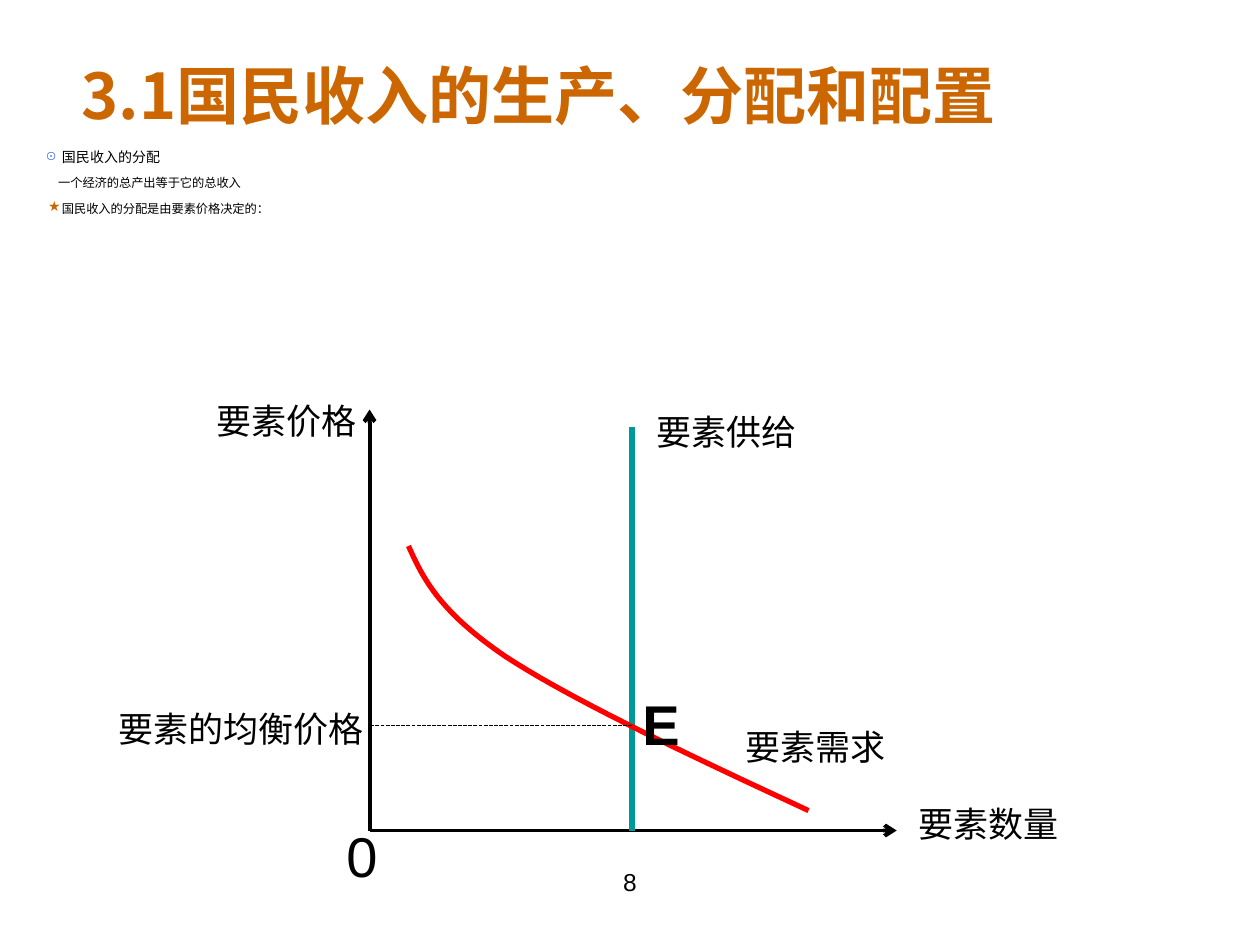
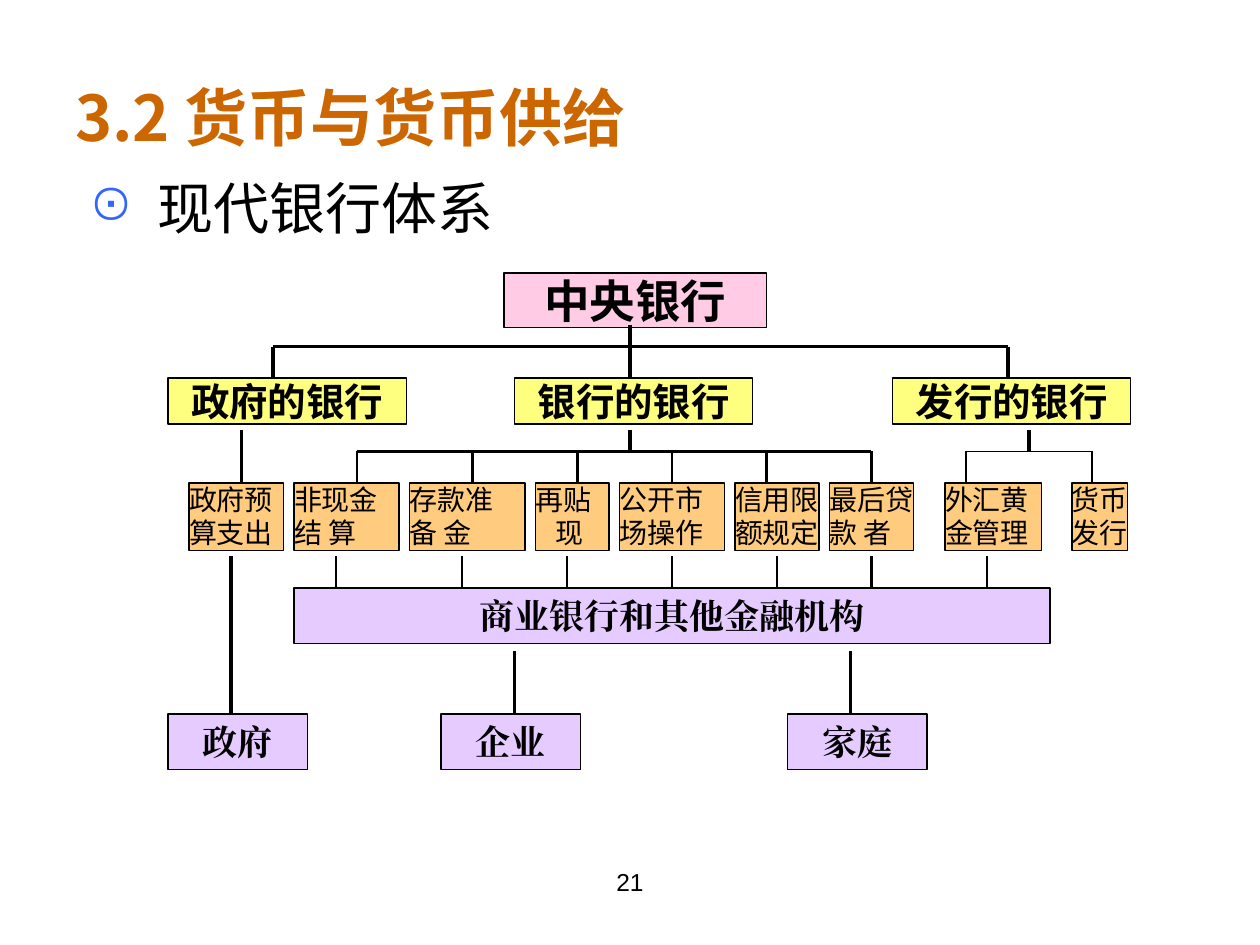
from dataclasses import dataclass

from lxml import etree
from pptx import Presentation
from pptx import util as u
from pptx.dml.color import RGBColor
from pptx.enum import dml, shapes, text
from pptx.oxml.ns import qn

# The grid has 12 columns and 12 rows to the inch: 120 x 90 on the slide.
CELL = 914400 // 12
COLS, ROWS = 120, 90

BLACK, ORANGE, BLUE = "000000", "CC6600", "3366FF"
TEAL, RED = "009999", "FF0000"
PINK, YELLOW, AMBER, LILAC = "FF99CC", "FFFF00", "FF9900", "CC99FF"
SANS, SERIF, CJK = "Arial", "Times New Roman", "Noto Sans CJK SC"
LEFT, CENTER = text.PP_ALIGN.LEFT, text.PP_ALIGN.CENTER
TOP, MIDDLE = text.MSO_ANCHOR.TOP, text.MSO_ANCHOR.MIDDLE


@dataclass(frozen=True)
class Area:
    """A rectangle in grid cells."""
    x: float
    y: float
    w: float
    h: float

    def emu(self) -> list[int]:
        return [grid(v) for v in (self.x, self.y, self.w, self.h)]


@dataclass(frozen=True)
class Style:
    size: float
    font: str = SANS
    bold: bool = False
    color: str = BLACK
    align: int = LEFT


@dataclass(frozen=True)
class Point:
    """A body paragraph; margin and hang are in inches."""
    words: str
    style: Style
    margin: float
    hang: float = 0
    bullet: str = ""
    bullet_color: str = BLACK
    bullet_pct: int = 100
    leading: float = 7
    before: float = 0


@dataclass(frozen=True)
class Box:
    area: Area
    lines: tuple[str, ...]
    fill: str
    style: Style
    border: float = 0.75
    second_indent: float = 0


TITLE = Style(36, CJK, True, ORANGE)
PAGE = Style(14, align=CENTER)
LABEL = Style(20)
CENTRAL = Style(26, bold=True, align=CENTER)
ROLE = Style(22, bold=True, align=CENTER)
CLIENT = Style(20, SERIF, True, align=CENTER)
TASK, TASK_CJK = Style(16), Style(16, CJK)


def grid(v: float) -> int:
    return round(v * CELL)


def rgb(value: str) -> RGBColor:
    return RGBColor.from_string(value)


def child(parent, tag: str, **attrs: str):
    return etree.SubElement(parent, qn(tag), attrs)


def put(obj, values: dict) -> None:
    for name, value in values.items():
        setattr(obj, name, value)


def frame(tf, anchor: int, wrap: bool, side: float, top: float) -> None:
    put(tf, dict(margin_left=u.Inches(side), margin_right=u.Inches(side),
                 margin_top=u.Inches(top), margin_bottom=u.Inches(top),
                 vertical_anchor=anchor, word_wrap=wrap,
                 auto_size=text.MSO_AUTO_SIZE.NONE))


def write(p, words: str, style: Style) -> None:
    p.alignment = style.align
    r = p.add_run()
    r.text = words
    put(r.font, dict(size=u.Pt(style.size), bold=style.bold, name=style.font))
    r.font.color.rgb = rgb(style.color)
    child(r._r.get_or_add_rPr(), "a:ea", typeface=style.font)


def add_text(s, area: Area, words: str, style: Style,
             anchor: int = MIDDLE, wrap: bool = True) -> None:
    tf = s.shapes.add_textbox(*area.emu()).text_frame
    frame(tf, anchor, wrap, 0.1, 0.05)
    write(tf.paragraphs[0], words, style)


def add_body(s, area: Area, points: list[Point]) -> None:
    tf = s.shapes.add_textbox(*area.emu()).text_frame
    frame(tf, TOP, True, 0.1, 0.05)
    for i, point in enumerate(points):
        p = tf.add_paragraph() if i else tf.paragraphs[0]
        pPr = p._p.get_or_add_pPr()
        pPr.set("marL", str(u.Inches(point.margin)))
        pPr.set("indent", str(u.Inches(-point.hang)))
        if point.bullet:
            child(child(pPr, "a:buClr"), "a:srgbClr", val=point.bullet_color)
            child(pPr, "a:buSzPct", val=str(point.bullet_pct * 1000))
            child(pPr, "a:buChar", char=point.bullet)
        put(p, dict(line_spacing=u.Pt(point.leading), space_before=u.Pt(point.before)))
        write(p, point.words, point.style)


def add_line(s, x1: float, y1: float, x2: float, y2: float, width: float = 2.25,
             color: str = BLACK, dashed: bool = False, arrow: bool = False):
    c = s.shapes.add_connector(shapes.MSO_CONNECTOR.STRAIGHT,
                               *[grid(v) for v in (x1, y1, x2, y2)])
    c.line.width = u.Pt(width)
    c.line.color.rgb = rgb(color)
    if dashed:
        c.line.dash_style = dml.MSO_LINE.SQUARE_DOT
    spPr = c.element.spPr
    if arrow:
        child(spPr.find(qn("a:ln")), "a:tailEnd", type="arrow")
    child(spPr, "a:effectLst")
    return c


def add_curve(s, start: tuple, segments: list[tuple], color: str, width: float,
              steps: int = 20) -> None:
    """Draw joined cubic curves; each segment has two controls and an end."""
    points, a = [], start
    for b, c, d in segments:
        for k in range(1, steps + 1):
            t = k / steps
            weights = ((1 - t) ** 3, 3 * t * (1 - t) ** 2, 3 * t * t * (1 - t), t ** 3)
            points.append(tuple(grid(sum(w * q[axis] for w, q in zip(weights, (a, b, c, d))))
                                for axis in (0, 1)))
        a = d
    builder = s.shapes.build_freeform(grid(start[0]), grid(start[1]))
    builder.add_line_segments(points, close=False)
    sp = builder.convert_to_shape()
    sp.shadow.inherit = False
    sp.fill.background()
    sp.line.color.rgb = rgb(color)
    sp.line.width = u.Pt(width)


def add_box(s, box: Box):
    sp = s.shapes.add_shape(shapes.MSO_SHAPE.RECTANGLE, *box.area.emu())
    sp.shadow.inherit = False
    sp.fill.solid()
    sp.fill.fore_color.rgb = rgb(box.fill)
    child(sp.element.spPr.find(qn("a:solidFill"))[0], "a:alpha", val="50000")
    sp.line.color.rgb = rgb(BLACK)
    sp.line.width = u.Pt(box.border)
    tf = sp.text_frame
    task = box.style.align == LEFT
    frame(tf, TOP if task else MIDDLE, len(box.lines) == 1, 0, 0)
    for i, words in enumerate(box.lines):
        p = tf.add_paragraph() if i else tf.paragraphs[0]
        if task:
            p.line_spacing = u.Pt(19)
        if i and box.second_indent:
            p._p.get_or_add_pPr().set("marL", str(u.Inches(box.second_indent)))
        write(p, words, box.style)
    return sp


def add_slide(prs, title: str, title_area: Area, page: str):
    s = prs.slides.add_slide(prs.slide_layouts[6])
    add_text(s, title_area, title, TITLE)
    add_text(s, Area(41, 82, 38, 6.2), page, PAGE, TOP)
    return s


def income_slide(prs) -> None:
    s = add_slide(prs, "3.1国民收入的生产、分配和配置", Area(6.6, 2.8, 108, 12.4), "8")
    small = Style(7, CJK)
    add_body(s, Area(2.8, 14, 111.7, 7.4), [
        Point("国民收入的分配", Style(8, CJK), 0.16, 0.13, "⊙", BLUE),
        Point("一个经济的总产出等于它的总收入", small, 0.13, before=7),
        Point("国民收入的分配是由要素价格决定的：", small, 0.16, 0.11, "★", ORANGE, 114,
              leading=7.6, before=7),
    ])

    axis_x, axis_y, supply_x, price_y = 35.2, 79.1, 60.2, 69.1
    add_line(s, axis_x, axis_y, 85.4, axis_y, arrow=True)
    add_line(s, axis_x, axis_y, axis_x, 39, arrow=True)
    add_line(s, supply_x, 40.7, supply_x, axis_y, 3, TEAL)
    add_curve(s, (38.9, 52), [((40.3, 55.1), (41.8, 58.2), (48.1, 62.5)),
                              ((54.5, 66.7), (65.8, 72), (77, 77.2))], RED, 3)
    add_line(s, supply_x, price_y, axis_x, price_y, 0.75, dashed=True)

    for x, y, w, words in ((86.3, 75.8, 15.7, "要素数量"), (69.8, 68.4, 15.7, "要素需求"),
                           (61.3, 38.4, 15.7, "要素供给"), (10.1, 66.7, 25.8, "要素的均衡价格"),
                           (19.4, 37.4, 15.7, "要素价格")):
        add_text(s, Area(x, y, w, 5.3), words, LABEL, wrap=False)
    add_text(s, Area(31.8, 77.6, 5.4, 7.7), "0", Style(32), wrap=False)
    add_text(s, Area(60, 65, 5.9, 7.7), "E", Style(32, bold=True), wrap=False)


def banking_slide(prs) -> None:
    s = add_slide(prs, "3.2 货币与货币供给", Area(6, 3.6, 108, 15), "21")
    add_body(s, Area(6.1, 15.7, 108, 64.7), [
        Point("现代银行体系", Style(32, CJK), 0.64, 0.54, "⊙", BLUE, leading=40)])

    role_y, task_y, market_y, client_y = 36, 46, 56, 68
    role_bus, task_bus = 33, 43
    tasks = [
        (18, 9, ("政府预算支出",), TASK, 0),
        (28, 10, ("非现金结 算",), TASK_CJK, 0),
        (39, 11, ("存款准", "备 金"), TASK_CJK, 0),
        (51, 7, ("再贴", "现"), TASK, 0.16),
        (59, 10, ("公开市", "场操作"), TASK, 0),
        (70, 8, ("信用限", "额规定"), TASK, 0),
        (79, 8, ("最后贷", "款 者"), TASK_CJK, 0),
        (90, 9.2, ("外汇黄", "金管理"), TASK, 0),
        (102.1, 5.3, ("货币", "发行"), TASK, 0),
    ]
    boxes = [Box(Area(48, 26, 25, 5.2), ("中央银行",), PINK, CENTRAL)]
    boxes += [Box(Area(x, role_y, 22.7, 4.4), (words,), YELLOW, ROLE)
              for x, words in ((16, "政府的银行"), (49, "银行的银行"), (85, "发行的银行"))]
    boxes += [Box(Area(x, task_y, w, 6.4), lines, AMBER, style, second_indent=indent)
              for x, w, lines, style, indent in tasks]
    boxes += [Box(Area(x, y, w, 5.3), (words,), LILAC, CLIENT, 1)
              for x, y, w, words in ((28, market_y, 72, "商业银行和其他金融机构"),
                                     (16, client_y, 13.3, "政府"), (42, client_y, 13.3, "企业"),
                                     (75, client_y, 13.3, "家庭"))]
    drawn = [(box.area, add_box(s, box)) for box in boxes]

    def drops(xs: tuple[float, ...], top: float, bottom: float, width: float) -> None:
        """Draw vertical lines, joined to any box whose top middle they meet."""
        for x in xs:
            c = add_line(s, x, top, x, bottom, width)
            for area, sp in drawn:
                if area.y == bottom and abs(area.x + area.w / 2 - x) < 0.05:
                    c.end_connect(sp, 0)

    add_line(s, 26, role_bus, 96, role_bus)
    add_line(s, 34, task_bus, 83, task_bus, 1.5)
    add_line(s, 92, task_bus, 104, task_bus, 0.75)
    for xs, top, bottom, width in (
            ((60,), 31, role_y, 2.25),
            ((26, 96), role_bus, role_y, 2.25),
            ((60, 98), 41, task_bus, 2.25),
            ((23,), 41, task_y, 1.5),
            ((34, 45, 55, 64, 73, 83, 92, 104), task_bus, task_y, 1.5),
            ((32, 44, 54, 64, 74, 83, 94), 53, market_y, 1.5),
            ((49, 81), 62, client_y, 2.25),
            ((22,), 53, client_y, 2.25)):
        drops(xs, top, bottom, width)


def main() -> None:
    prs = Presentation()
    put(prs, dict(slide_width=grid(COLS), slide_height=grid(ROWS)))
    income_slide(prs)
    banking_slide(prs)
    prs.save("out.pptx")


if __name__ == "__main__":
    main()
